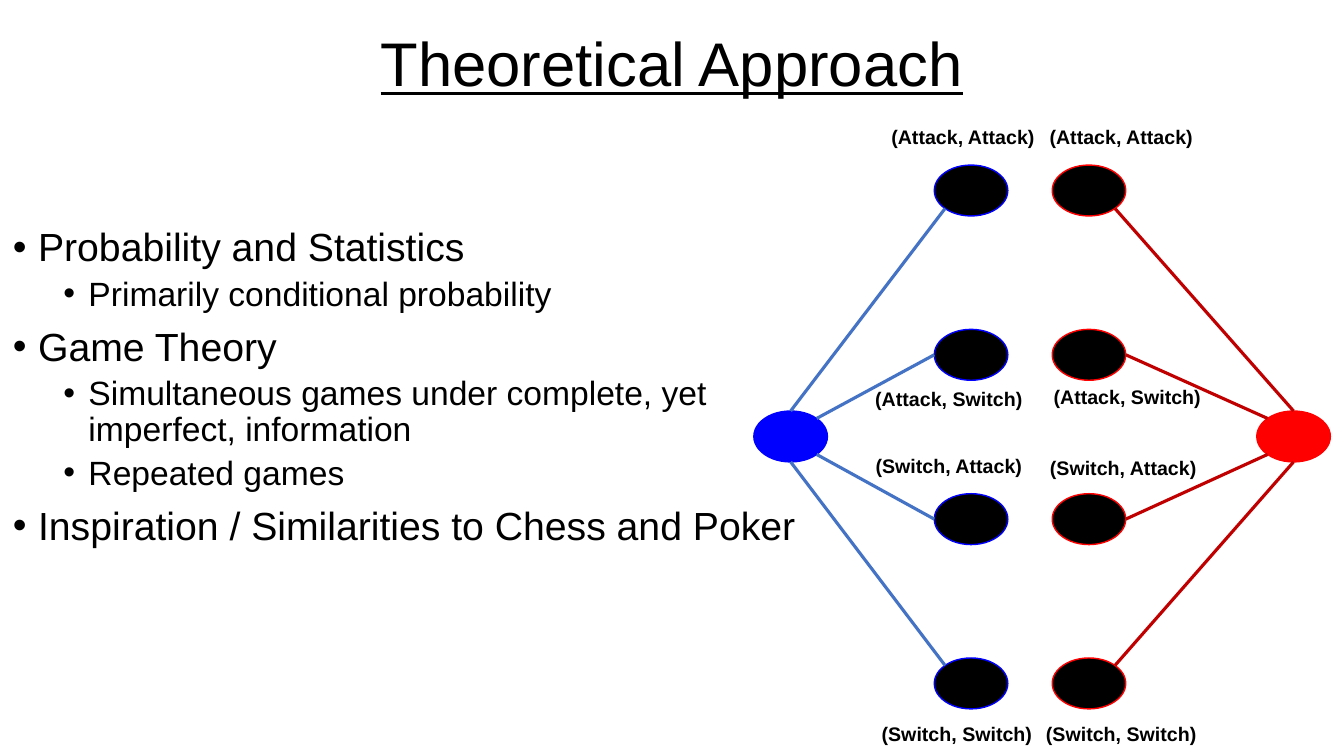
from math import sqrt

from lxml import etree
from pptx import Presentation, util as u
from pptx.dml.color import RGBColor
from pptx.enum import shapes, text
from pptx.oxml.ns import qn

# The grid has square cells, half an inch wide; all lengths count cells.
CELL = u.Inches(0.5)
SLIDE_COLUMNS, SLIDE_ROWS = 26.67, 15
NODE_WIDTH, NODE_HEIGHT = 1.46, 1.01
ROOT_ROW, FIRST_LEAF_ROW, LEAF_STEP = 8.66, 3.78, 3.26
LABEL_WIDTH, LABEL_HEIGHT = 3.54, 0.68
DIAGONAL = 1 / sqrt(2)

BLACK = RGBColor(0x00, 0x00, 0x00)
BLUE = RGBColor(0x00, 0x00, 0xFF)
RED = RGBColor(0xFF, 0x00, 0x00)
BLUE_BRANCH = RGBColor(0x44, 0x72, 0xC4)
RED_BRANCH = RGBColor(0xC0, 0x00, 0x00)

TOPICS = [
    (0, "Probability and Statistics"),
    (1, "Primarily conditional probability"),
    (0, "Game Theory"),
    (1, "Simultaneous games under complete, yet imperfect, information"),
    (1, "Repeated games"),
    (0, "Inspiration / Similarities to Chess and Poker"),
]
MOVES = ["(Attack, Attack)", "(Attack, Switch)", "(Switch, Attack)", "(Switch, Switch)"]
BLUE_LABEL_CORNERS = [(17.34, 2.38), (17.06, 7.58), (17.06, 8.9), (17.22, 14.22)]
RED_LABEL_CORNERS = [(20.48, 2.38), (20.6, 7.54), (20.52, 8.94), (20.48, 14.22)]


def cells(*counts):
    return [u.Emu(round(count * CELL)) for count in counts]


def write(paragraph, words, size, align=None, bold=False, underline=False):
    paragraph.alignment = align
    run = paragraph.add_run()
    run.text = words
    font = run.font
    font.name, font.size = "Arial", u.Pt(size)
    font.bold, font.underline = bold, underline
    font.color.rgb = BLACK


def add_bullet(paragraph, level):
    paragraph.level = level
    paragraph.line_spacing = 0.9
    paragraph.space_before = u.Pt(5 if level else 10)
    properties = paragraph._p.get_or_add_pPr()
    properties.set("marL", str(u.Inches(0.25 + 0.5 * level)))
    properties.set("indent", str(u.Inches(-0.25)))
    etree.SubElement(properties, qn("a:buFont")).set("typeface", "Arial")
    etree.SubElement(properties, qn("a:buChar")).set("char", "•")


def add_title(slide):
    title = slide.shapes.title
    title.left, title.top, title.width, title.height = cells(0, 0, SLIDE_COLUMNS, 2.66)
    frame = title.text_frame
    frame.vertical_anchor = text.MSO_ANCHOR.MIDDLE
    frame.auto_size = text.MSO_AUTO_SIZE.NONE
    frame.paragraphs[0].line_spacing = 0.9
    write(frame.paragraphs[0], "Theoretical Approach", 44,
          align=text.PP_ALIGN.CENTER, underline=True)


def add_topics(slide):
    frame = slide.shapes.add_textbox(*cells(0.06, 4.42, 16.06, 9.52)).text_frame
    frame.word_wrap = True
    for number, (level, words) in enumerate(TOPICS):
        paragraph = frame.add_paragraph() if number else frame.paragraphs[0]
        add_bullet(paragraph, level)
        write(paragraph, words, 24 if level else 28)


def add_label(slide, words, corner):
    box = slide.shapes.add_textbox(*cells(*corner, LABEL_WIDTH, LABEL_HEIGHT))
    frame = box.text_frame
    frame.word_wrap = True
    frame.auto_size = text.MSO_AUTO_SIZE.SHAPE_TO_FIT_TEXT
    write(frame.paragraphs[0], words, 14, align=text.PP_ALIGN.CENTER, bold=True)


def add_node(group, center, fill, outline):
    column, row = center
    node = group.shapes.add_shape(
        shapes.MSO_SHAPE.OVAL,
        *cells(column - NODE_WIDTH / 2, row - NODE_HEIGHT / 2, NODE_WIDTH, NODE_HEIGHT))
    node.shadow.inherit = False
    node.fill.solid()
    node.fill.fore_color.rgb = fill
    node.line.color.rgb = outline
    node.line.width = u.Pt(1)


def rim(center, across, down):
    """Point on a node's edge; across and down are shares of its half axes."""
    return center[0] + across * NODE_WIDTH / 2, center[1] + down * NODE_HEIGHT / 2


def add_branch(group, start, end, color):
    branch = group.shapes.add_connector(shapes.MSO_CONNECTOR.STRAIGHT, *cells(*start, *end))
    branch.line.color.rgb = color
    branch.line.width = u.Pt(2.25)
    etree.SubElement(branch._element.spPr, qn("a:effectLst"))


def add_tree(slide, root_column, leaf_column, color, branch_color):
    group = slide.shapes.add_group_shape()
    root = (root_column, ROOT_ROW)
    leaves = [(leaf_column, FIRST_LEAF_ROW + LEAF_STEP * i) for i in range(len(MOVES))]
    add_node(group, root, color, color)
    for leaf in leaves:
        add_node(group, leaf, BLACK, color)
    across = 1 if leaf_column > root_column else -1
    for index, leaf in enumerate(leaves):
        down = 1 if leaf[1] > ROOT_ROW else -1
        if index in (0, len(leaves) - 1):
            start = rim(root, 0, down)
            end = rim(leaf, -across * DIAGONAL, -down * DIAGONAL)
        else:
            start = rim(root, across * DIAGONAL, down * DIAGONAL)
            end = rim(leaf, -across, 0)
        add_branch(group, start, end, branch_color)


def main():
    presentation = Presentation()
    presentation.slide_width, presentation.slide_height = cells(SLIDE_COLUMNS, SLIDE_ROWS)
    slide = presentation.slides.add_slide(presentation.slide_layouts.get_by_name("Title Only"))
    add_title(slide)
    add_topics(slide)
    add_tree(slide, 15.69, 19.27, BLUE, BLUE_BRANCH)
    add_tree(slide, 25.67, 21.61, RED, RED_BRANCH)
    for corners in (BLUE_LABEL_CORNERS, RED_LABEL_CORNERS):
        for words, corner in zip(MOVES, corners):
            add_label(slide, words, corner)
    presentation.save("out.pptx")


if __name__ == "__main__":
    main()
